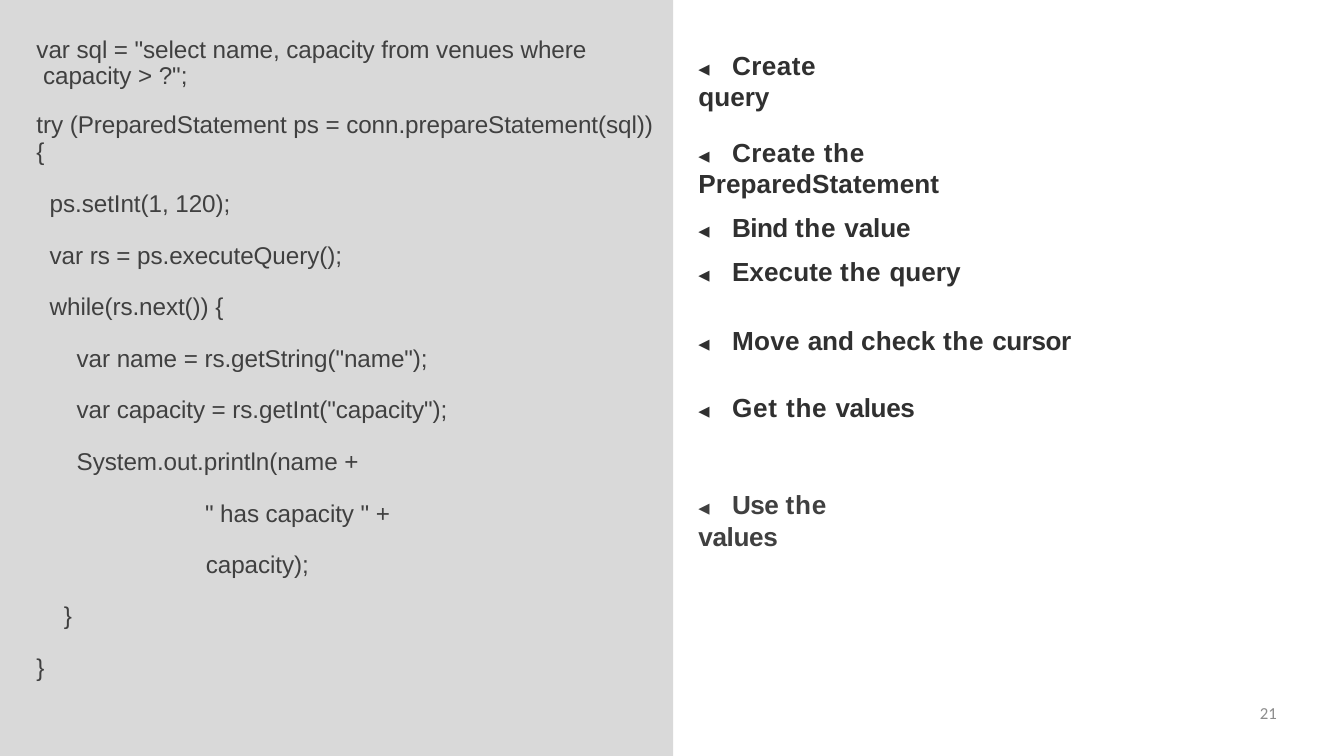
from pptx import Presentation
from pptx.dml.color import RGBColor
from pptx.enum.shapes import MSO_SHAPE as Shape
from pptx.enum.text import MSO_ANCHOR as Anchor, MSO_AUTO_SIZE as AutoSize, PP_ALIGN as Align
from pptx.oxml.ns import qn
from pptx.util import Cm, Pt
from lxml.etree import SubElement

COLORS = {"panel": "D9D9D9", "white": "FFFFFF", "code": "404040",
          "step": "303030", "number": "8C8C8C"}
SLIDE_W, SLIDE_H, PANEL_W = 50.8, 28.58, 25.45
CODE_LEFT, STEP_LEFT = 1.35, 26.37
ROW_TOP, ROW_STEP = 7.09, 1.95

# Code boxes: left, top, width, height, line spacing in points,
# paragraphs as (text, indent in cm, space before in points)
def row(number):
    return ROW_TOP + number * ROW_STEP


CODE = [
    (CODE_LEFT, 1.22, 21.03, 2.16, 27.8,
     [('var sql = "select name, capacity from venues where\v capacity > ?";', 0.03, 4.8)]),
    (CODE_LEFT, 4.14, 23.57, 2.16, 29.6,
     [("try (PreparedStatement ps = conn.prepareStatement(sql))", 0.03, 1), ("{", 0.03, 0)]),
    (1.85, row(0), 6.96, 1.17, None, [("ps.setInt(1, 120);", 0.03, 1)]),
    (1.85, row(1), 11.23, 1.17, None, [("var rs = ps.executeQuery();", 0.03, 1)]),
    (1.85, row(2), 6.71, 1.17, None, [("while(rs.next()) {", 0.03, 1)]),
    (2.87, row(3), 13.46, 1.17, None, [('var name = rs.getString("name");', 0.03, 1)]),
    (2.87, row(4), 14.22, 3.12, None,
     [('var capacity = rs.getInt("capacity");', 0.03, 1),
      ("System.out.println(name +", 0.03, 23.8)]),
    (7.72, row(6), 7.14, 1.17, None, [('" has capacity " +', 0.03, 1)]),
    (CODE_LEFT, row(7), 10.39, 5.05, None,
     [("capacity);", 6.43, 1), ("}", 1.07, 23.8), ("}", 0.03, 23.8)]),
]

# Steps: (space before, [(words, letter spacing in points)])
TITLE_STEP = (1, [("Create ", 0.5), ("query", 0)])
MIDDLE_STEPS = [
    (14.4, [("Create ", 0.5), ("the ", 0.8), ("PreparedStatement", 0.1)]),
    (13.4, [("Bind ", -0.6), ("the ", 0.8), ("value", -0.1)]),
    (13.4, [("Execute ", 0.1), ("the ", 0.8), ("query", 0)]),
    (39.8, [("Move ", 0.4), ("and ", -0.1), ("check ", 0.1), ("the ", 0.8), ("cursor", -0.5)]),
    (38.8, [("Get ", 0.9), ("the ", 0.8), ("values", -0.4)]),
]
LAST_STEP = (1, [("Use ", -0.5), ("the ", 0.8), ("values", -0.4)])


def add_panel(left, width, color):
    panel = page.shapes.add_shape(Shape.RECTANGLE, Cm(left), 0, Cm(width), Cm(SLIDE_H))
    panel.shadow.inherit = False
    panel.fill.solid()
    panel.fill.fore_color.rgb = RGBColor.from_string(COLORS[color])
    panel.line.fill.background()


def place(box, left, top, width, height, inset_top):
    box.left, box.top, box.width, box.height = Cm(left), Cm(top), Cm(width), Cm(height)
    frame = box.text_frame
    frame.margin_left = frame.margin_right = frame.margin_bottom = 0
    frame.margin_top = Cm(inset_top)
    frame.word_wrap = True
    frame.auto_size = AutoSize.SHAPE_TO_FIT_TEXT
    frame.vertical_anchor = Anchor.TOP
    return frame


def add_box(*position):
    return place(page.shapes.add_textbox(0, 0, 0, 0), *position)


def style(span, size, font, color, spacing=0, bold=False):
    span.font.size, span.font.name, span.font.bold = Pt(size), font, bold
    span.font.color.rgb = RGBColor.from_string(COLORS[color])
    if spacing:
        span.font._element.set("spc", str(round(spacing * 100)))


def next_para(frame, index):
    return frame.add_paragraph() if index else frame.paragraphs[0]


def set_indent(para, left):
    props = para._p.get_or_add_pPr()
    props.set("marL", str(Cm(left)))
    props.set("indent", "0")
    return props


def write_steps(frame, steps, color):
    for index, (before, words) in enumerate(steps):
        para = next_para(frame, index)
        para.alignment, para.space_before = Align.LEFT, Pt(before)
        tabs = SubElement(set_indent(para, 0.03), qn("a:tabLst"))
        SubElement(tabs, qn("a:tab"), pos=str(Cm(1.04)), algn="l")
        arrow = para.add_run()
        arrow.text = "◀\t"
        style(arrow, 20, "DejaVu Sans Mono", color, -1.9)
        for text, spacing in words:
            span = para.add_run()
            span.text = text
            style(span, 28, "Arial", color, spacing, True)


deck = Presentation()
deck.slide_width, deck.slide_height = Cm(SLIDE_W), Cm(SLIDE_H)
page = deck.slides.add_slide(deck.slide_layouts[5])

# Panels
add_panel(0, PANEL_W, "panel")
add_panel(PANEL_W, SLIDE_W - PANEL_W, "white")

# Code
for left, top, width, height, line_spacing, lines in CODE:
    frame = add_box(left, top, width, height, 0.18 if top < 2 else 0.03)
    for index, (text, indent, before) in enumerate(lines):
        para = next_para(frame, index)
        para.text = text
        para.space_before = Pt(before)
        if line_spacing:
            para.line_spacing = Pt(line_spacing)
        set_indent(para, indent)
        for span in para.runs:
            style(span, 26, "Arial", "code", -0.1)

# Steps, the first one as the title
title = page.shapes.title
write_steps(place(title, STEP_LEFT, 1.83, 7.21, 1.24, 0.03), [TITLE_STEP], "step")
page.shapes._spTree.append(title._element)
write_steps(add_box(STEP_LEFT, 4.65, 15.52, 10.03, 0.51), MIDDLE_STEPS, "step")
write_steps(add_box(STEP_LEFT, 18.44, 7.92, 1.24, 0.03), [LAST_STEP], "code")

# Page number
number = add_box(36.58, 26.57, 11.68, 1.42, 0).paragraphs[0]
number.text = "21"
number.alignment = Align.RIGHT
style(number.runs[0], 18, "Calibri", "number")

deck.save("out.pptx")
